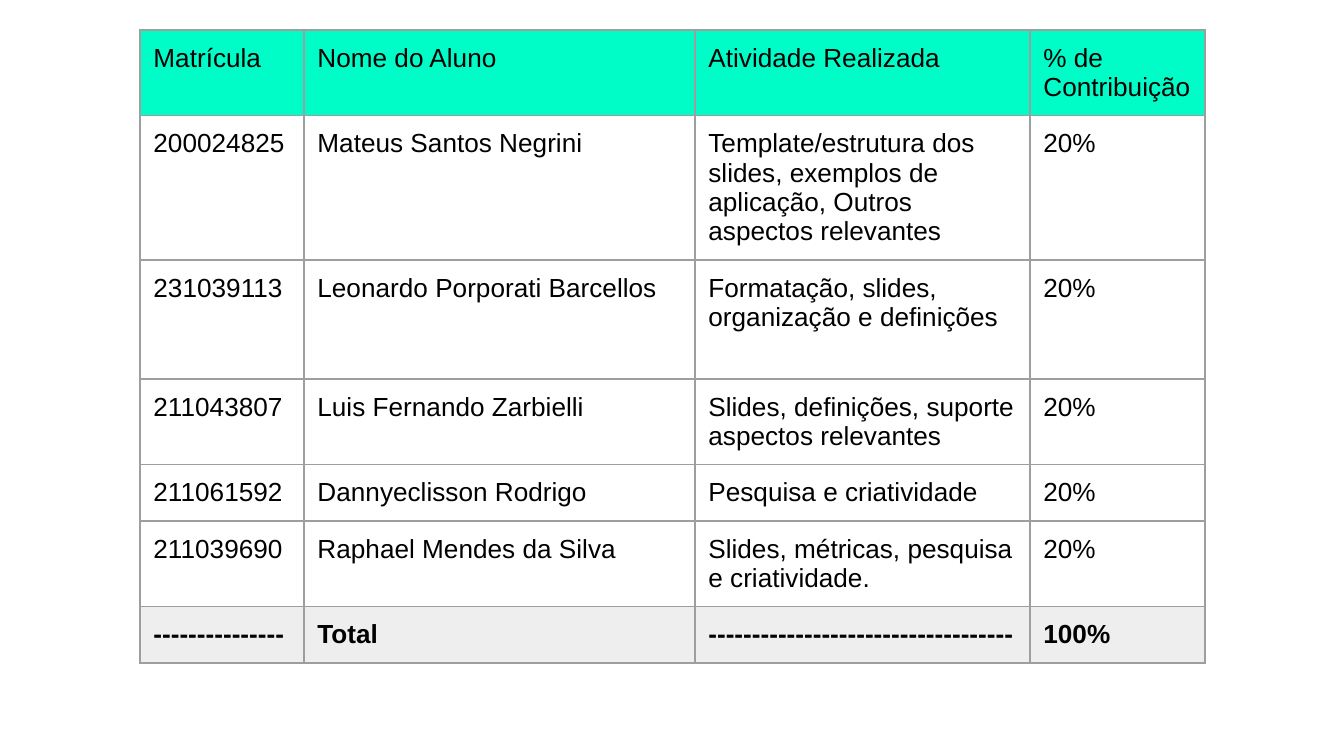
"""Build a slide with a table of student contributions."""
from typing import NamedTuple, Optional

from lxml import etree
from pptx import Presentation
from pptx import util as u
from pptx.dml.color import RGBColor
from pptx.oxml import ns

PX_PER_INCH = 134.4
FONT = "Arial"
BLACK = "000000"
BORDER = "9E9E9E"
COLUMN_WIDTHS = (164, 391, 335, 175)


class Row(NamedTuple):
    cells: tuple[str, str, str, str]
    height: int = 56
    fill: Optional[str] = None
    bold: bool = False


ROWS = (
    Row(("Matrícula", "Nome do Aluno", "Atividade Realizada", "% de Contribuição"),
        height=51, fill="00FDC8"),
    Row(("200024825", "Mateus Santos Negrini",
         "Template/estrutura dos slides, exemplos de aplicação, Outros aspectos relevantes",
         "20%")),
    Row(("231039113", "Leonardo Porporati Barcellos",
         "Formatação, slides, organização e definições", "20%"), height=119),
    Row(("211043807", "Luis Fernando Zarbielli",
         "Slides, definições, suporte aspectos relevantes", "20%")),
    Row(("211061592", "Dannyeclisson Rodrigo", "Pesquisa e criatividade", "20%")),
    Row(("211039690", "Raphael Mendes da Silva",
         "Slides, métricas, pesquisa e criatividade.", "20%")),
    Row(("-" * 15, "Total", "-" * 35, "100%"), fill="EEEEEE", bold=True),
)


def px(length: int) -> u.Emu:
    return u.Inches(length / PX_PER_INCH)


def color(value: str) -> RGBColor:
    return RGBColor.from_string(value)


def add_borders(cell) -> None:
    properties = cell._tc.get_or_add_tcPr()
    for side in ("lnL", "lnR", "lnT", "lnB"):
        line = etree.SubElement(properties, ns.qn(f"a:{side}"), w=str(u.Pt(0.75)))
        fill = etree.SubElement(line, ns.qn("a:solidFill"))
        etree.SubElement(fill, ns.qn("a:srgbClr"), val=BORDER)


def fill_cell(cell, content: str, row: Row) -> None:
    cell.margin_left = cell.margin_right = u.Inches(0.1)
    cell.margin_top = cell.margin_bottom = u.Inches(0.1)
    add_borders(cell)
    if row.fill:
        cell.fill.solid()
        cell.fill.fore_color.rgb = color(row.fill)
    else:
        cell.fill.background()
    cell.text = content
    font = cell.text_frame.paragraphs[0].font
    font.name = FONT
    font.size = u.Pt(14)
    font.bold = row.bold
    font.color.rgb = color(BLACK)


def add_contributions(slide, left: int, top: int) -> None:
    height = sum(row.height for row in ROWS)
    contributions = slide.shapes.add_table(
        len(ROWS), len(COLUMN_WIDTHS),
        px(left), px(top), px(sum(COLUMN_WIDTHS)), px(height)).table
    contributions.first_row = False
    contributions.horz_banding = False
    for column, width in zip(contributions.columns, COLUMN_WIDTHS):
        column.width = px(width)
    for table_row, row in zip(contributions.rows, ROWS):
        table_row.height = px(row.height)
        for cell, content in zip(table_row.cells, row.cells):
            fill_cell(cell, content, row)


def main() -> None:
    presentation = Presentation()
    presentation.slide_width = px(1344)
    presentation.slide_height = px(756)
    slide = presentation.slides.add_slide(presentation.slide_layouts[6])
    add_contributions(slide, left=140, top=30)
    presentation.save("out.pptx")


if __name__ == "__main__":
    main()
